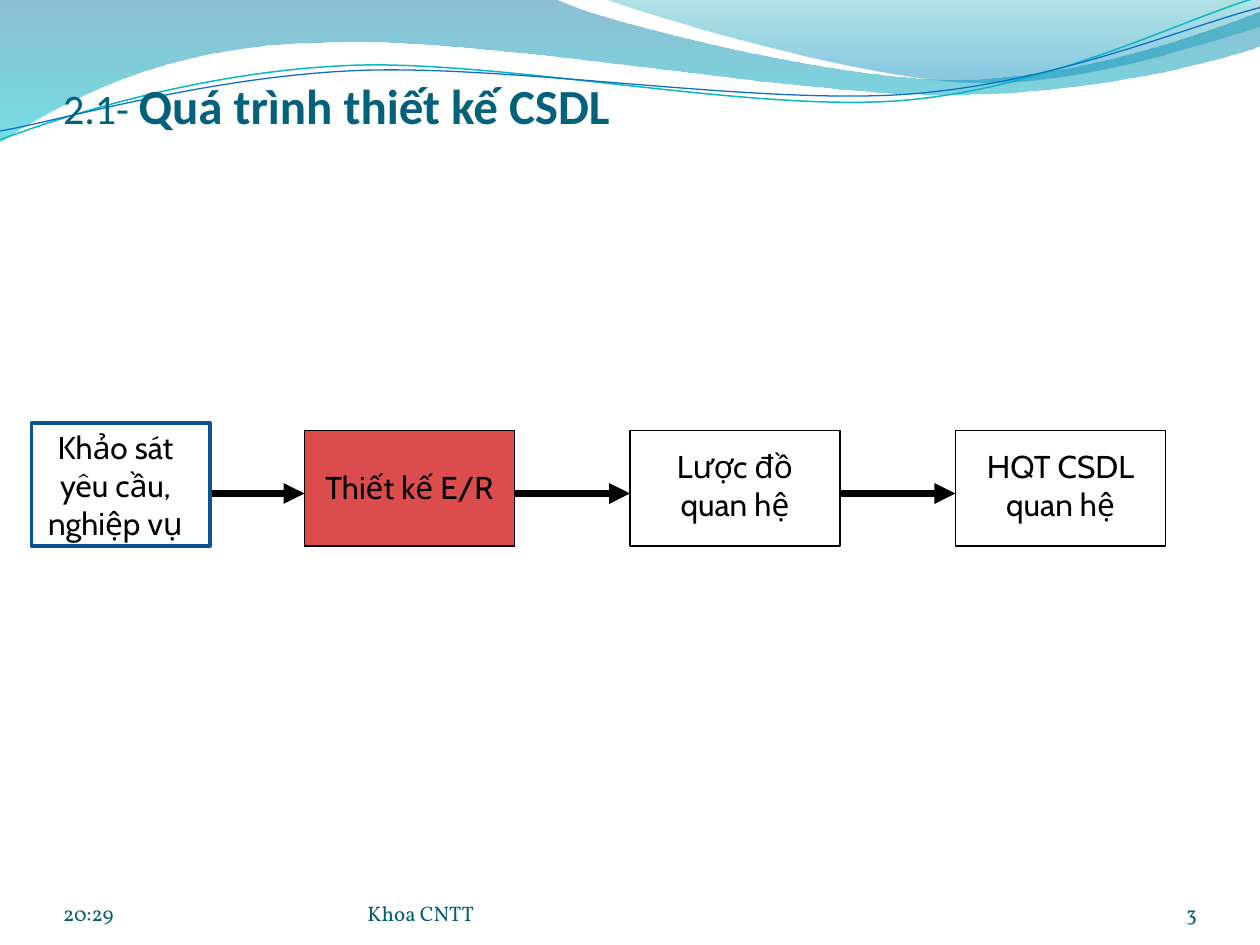
from math import cos, radians, sin
from lxml.etree import SubElement
from pptx import Presentation
from pptx.dml.color import RGBColor as RGB
from pptx.enum.shapes import MSO_CONNECTOR as LINK, MSO_SHAPE as SHAPE
from pptx.enum.text import MSO_ANCHOR as ANCHOR, MSO_AUTO_SIZE as AUTO, PP_ALIGN as ALIGN
from pptx.oxml.ns import qn
from pptx.util import Inches, Pt

INK = {
    "title": "04617B", "foot": "045D75", "text": "000000", "red": "CC0000",
    "frame": "0B5292", "teal": "0AB8BF", "blue": "0F6FC6",
    "deep": "0074A1", "aqua": "00C6CF", "sea": "00A1A9", "sky": "008BBF",
}
CELL = Inches(10) / 120  # the grid has 120 columns and 90 rows
TILT = 2.7  # degrees by which the threads lean to the left


def write(frame, *runs, font="Cabin", size=18, ink="text", align=ALIGN.CENTER,
          anchor=ANCHOR.TOP, inset=(0.1, 0.05, 0.1, 0.05), fit=AUTO.NONE):
    """Fill a text frame with one paragraph; a run is a text or (text, size, bold)."""
    frame.word_wrap, frame.auto_size = True, fit
    frame.vertical_anchor = anchor
    (frame.margin_left, frame.margin_top,
     frame.margin_right, frame.margin_bottom) = map(Inches, inset)
    para = frame.paragraphs[0]
    para.alignment = align
    for item in runs:
        words, points, bold = (item, size, False) if isinstance(item, str) else item
        run = para.add_run()
        run.text = words
        run.font.name, run.font.size, run.font.bold = font, Pt(points), bold
        run.font.color.rgb = RGB.from_string(INK[ink])


def fade(node, share):
    """Set the opacity, in percent, of the one colour below a node."""
    color = next(node.iter(qn("a:srgbClr")))
    SubElement(color, qn("a:alpha")).set("val", str(share * 1000))


def turn(point, box, angle):
    """Rotate a point clockwise about the centre of a box."""
    left, top, width, height = box
    mid, half = left + width / 2, top + height / 2
    x, y, a = point[0] - mid, point[1] - half, radians(angle)
    return mid + x * cos(a) - y * sin(a), half + x * sin(a) + y * cos(a)


class Page:
    def __init__(self, deck):
        self.slide = deck.slides.add_slide(deck.slide_layouts[5])
        self.shapes = self.slide.shapes

    def place(self, *cells):
        return [round(n * CELL) for n in cells]

    def stroke(self, shape, ink, width):
        shape.line.color.rgb = RGB.from_string(INK[ink])
        shape.line.width = Pt(width)

    def outline(self, box, start, curves, close):
        """Draw a chain of cubic curves (3 points) and straight lines (1 point)."""
        maker = self.shapes.build_freeform(*map(Inches, start))
        maker.add_line_segments([tuple(map(Inches, c[-1])) for c in curves], close=close)
        shape = maker.convert_to_shape()
        shape.shadow.inherit = False
        shape.left, shape.top, shape.width, shape.height = map(Inches, box)
        track = next(shape._element.iter(qn("a:path")))
        track.set("w", str(shape.width))
        track.set("h", str(shape.height))
        for step, nodes in zip(list(track), [[start], *curves]):
            for old in list(step):
                step.remove(old)
            if len(nodes) == 3:
                step.tag = qn("a:cubicBezTo")
            for x, y in nodes:
                node = SubElement(step, qn("a:pt"))
                node.set("x", str(Inches(x - box[0])))
                node.set("y", str(Inches(y - box[1])))
        return shape

    def wave(self, box, start, curves, stops):
        shape = self.outline(box, start, curves, True)
        shape.line.fill.background()
        shape.fill.gradient()
        shape.fill.gradient_angle = 270
        for stop, (spot, ink, _) in zip(shape.fill.gradient_stops, stops):
            stop.position = spot
            stop.color.rgb = RGB.from_string(INK[ink])
        for node, (_, _, share) in zip(shape._element.iter(qn("a:gs")), stops):
            fade(node, share)

    def thread(self, box, start, curves, ink, width):
        flat = [[turn(p, box, TILT) for p in nodes] for nodes in curves]
        shape = self.outline(box, turn(start, box, TILT), flat, False)
        shape.rotation = 360 - TILT
        shape.fill.background()
        self.stroke(shape, ink, width)

    def title(self, cells, *runs):
        head = self.shapes.title
        head.left, head.top, head.width, head.height = self.place(*cells)
        write(head.text_frame, *runs, font="Calibri", ink="title", align=ALIGN.LEFT,
              anchor=ANCHOR.BOTTOM, inset=(0, 0.05, 0, 0))
        self.shapes._spTree.append(head._element)  # in front of the waves

    def box(self, cells, ink="text", width=1, fill=None):
        shape = self.shapes.add_shape(SHAPE.RECTANGLE, *self.place(*cells))
        shape.shadow.inherit = False
        self.stroke(shape, ink, width)
        if fill:
            shape.fill.solid()
            shape.fill.fore_color.rgb = RGB.from_string(INK[fill])
            fade(shape._element.spPr.find(qn("a:solidFill")), 70)
        else:
            shape.fill.background()

    def label(self, cells, words, **style):
        area = self.shapes.add_textbox(*self.place(*cells))
        write(area.text_frame, words, **style)

    def arrow(self, first, last, row):
        ends = self.place(first, row, last, row)
        link = self.shapes.add_connector(LINK.STRAIGHT, *ends)
        self.stroke(link, "text", 4)
        SubElement(link.line._get_or_add_ln(), qn("a:tailEnd")).set("type", "triangle")
        SubElement(link._element.spPr, qn("a:effectLst"))

    def foot(self, col, span, words, align=ALIGN.LEFT):
        self.label((col, 83.4, span, 4.8), words, font="Vollkorn", size=12, ink="foot",
                   align=align, anchor=ANCHOR.BOTTOM, inset=(0, 0, 0, 0))


def main():
    deck = Presentation()
    deck.slide_width, deck.slide_height = Inches(10), Inches(7.5)
    page = Page(deck)

    page.wave((-0.01, -0.01, 10.02, 1.14), (0, -0.01), [
        [(4.4, -0.01)],
        [(4.76, 0.17), (6.64, 0.63), (7.58, 0.63)],
        [(8.53, 0.63), (9.58, 0.26), (10, 0.09)],
        [(10.01, 0.36)],
        [(9.83, 0.44), (8.7, 0.76), (7.46, 0.75)],
        [(6.22, 0.75), (3.82, 0.28), (2.57, 0.34)],
        [(1.29, 0.35), (0.46, 0.83), (-0.01, 1.13)],
        [(0, -0.01)],
    ], [(0, "deep", 45), (1, "aqua", 55)])
    page.wave((4.79, -0.01, 5.21, 0.7), (4.79, -0.01), [
        [(5.09, 0.11), (6.82, 0.62), (7.69, 0.65)],
        [(8.56, 0.69), (9.61, 0.32), (10, 0.21)],
        [(10, 0)],
        [(4.79, -0.01)],
    ], [(0, "sea", 30), (0.8, "sky", 45)])
    page.thread((-0.02, 0.22, 10.02, 0.71), (0, 1.11), [
        [(0.48, 0.93), (1.58, 0.57), (2.77, 0.52)],
        [(3.95, 0.47), (5.93, 0.89), (7.13, 0.8)],
        [(8.33, 0.71), (9.38, 0.15), (9.98, -0.02)],
    ], "teal", 0.85)
    page.thread((-0.02, 0.3, 10.03, 0.58), (0, 1.04), [
        [(0.47, 0.96), (1.64, 0.61), (2.83, 0.56)],
        [(4.03, 0.51), (5.97, 0.83), (7.17, 0.75)],
        [(8.36, 0.67), (9.41, 0.21), (10, 0.06)],
    ], "blue", 0.75)

    page.title((6, 4.6, 108, 8.2), ("2.1- ", 24, False),
               ("Quá trình thiết kế CSDL", 28, True))

    side, pitch, span = 29, 31, 20
    page.box((side, 41, span, 11), fill="red")
    page.label((2.5, 40.2, 17, 12.1), "Khảo sát yêu cầu, nghiệp vụ", fit=AUTO.SHAPE_TO_FIT_TEXT)
    stages = [("Thiết kế E/R", 44, 4.8), ("Lược đồ quan hệ", 42, 8.4),
              ("HQT CSDL quan hệ", 42, 8.4)]
    for i, (words, row, tall) in enumerate(stages):
        col = side + pitch * i
        page.box((col, 41, span, 11))
        page.label((col, row, span, tall), words, fit=AUTO.SHAPE_TO_FIT_TEXT)
    for i in range(len(stages)):
        last = side + pitch * i
        page.arrow(last - pitch + span if i else 20, last, 47)
    page.box((3, 40.3, 17, 11.7), "frame", 2)

    page.foot(6, 28, "20:29")
    page.foot(35, 44, "Khoa CNTT")
    page.foot(104, 10, "3", ALIGN.RIGHT)
    deck.save("out.pptx")


if __name__ == "__main__":
    main()
